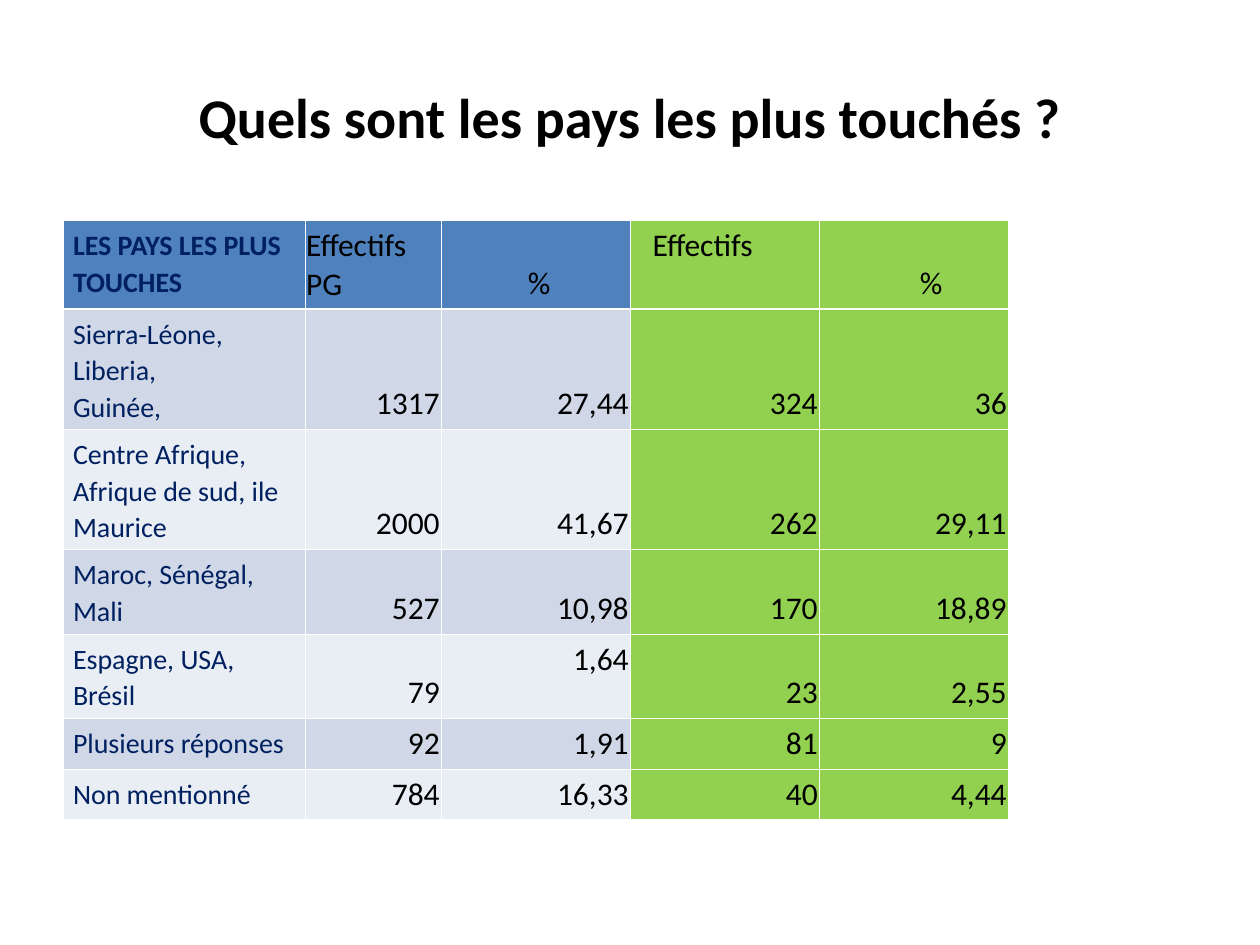
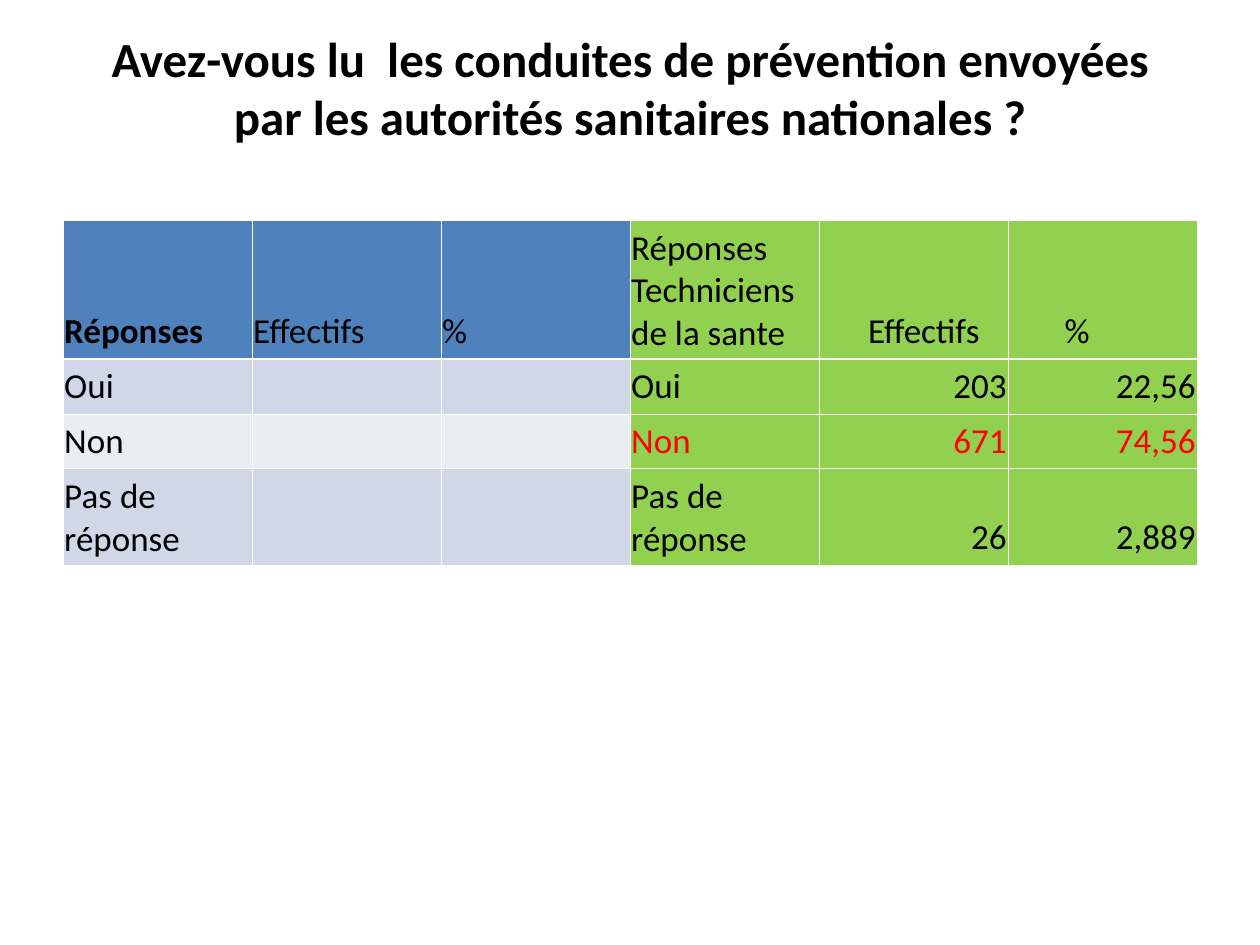
from dataclasses import dataclass

from lxml import etree
from pptx import Presentation
from pptx.dml.color import RGBColor
from pptx.enum.text import MSO_ANCHOR, PP_ALIGN
from pptx.oxml.ns import qn
from pptx.util import Inches, Pt

LEFT, CENTER, RIGHT = PP_ALIGN.LEFT, PP_ALIGN.CENTER, PP_ALIGN.RIGHT
TOP, MIDDLE, BOTTOM = MSO_ANCHOR.TOP, MSO_ANCHOR.MIDDLE, MSO_ANCHOR.BOTTOM
BLANK_LAYOUT = 6


@dataclass(frozen=True)
class Theme:
    font: str = "Calibri"
    text: str = "000000"
    label: str = "002060"
    alert: str = "FF0000"
    border: str = "FFFFFF"
    header: str = "4F81BD"
    bands: tuple = ("D0D8E8", "E9EDF4")
    technicians: str = "92D050"
    title_large: int = 32
    title_small: int = 28
    label_size: int = 16
    value_size: int = 18
    answer_size: int = 20
    thin_line: float = 0.45
    header_line: float = 1.47


THEME = Theme()
SLIDE_WIDTH, SLIDE_HEIGHT = Inches(10), Inches(7.5)
TITLE_BOX = (0.05, 0.04, 0.9, 1 / 6)  # shares of the slide: left, top, width, height

TIGHT_MARGINS = {"margin_left": Inches(0.01), "margin_right": Inches(0.01),
                 "margin_top": Inches(0.05), "margin_bottom": Inches(0.05)}
LABEL_MARGINS = TIGHT_MARGINS | {"margin_left": Inches(0.08), "margin_right": Inches(0.08)}

COUNTRY_ROWS = [
    ["LES PAYS LES PLUS TOUCHES", "Effectifs PG", "%", "Effectifs", "%"],
    ["Sierra-Léone,\nLiberia,\nGuinée,", "1317", "27,44", "324", "36"],
    ["Centre Afrique, Afrique de sud, ile Maurice", "2000", "41,67", "262", "29,11"],
    ["Maroc, Sénégal, Mali", "527", "10,98", "170", "18,89"],
    ["Espagne, USA, Brésil", "79", "1,64", "23", "2,55"],
    ["Plusieurs réponses", "92", "1,91", "81", "9"],
    ["Non mentionné", "784", "16,33", "40", "4,44"],
]
PREVENTION_ROWS = [
    ["Réponses", "Effectifs", "%", "Réponses\nTechniciens de la sante", "Effectifs", "%"],
    ["Oui", "", "", "Oui", "203", "22,56"],
    ["Non", "", "", "Non", "671", "74,56"],
    ["Pas de réponse", "", "", "Pas de réponse", "26", "2,889"],
]


def set_attributes(target, values):
    for name, value in values.items():
        setattr(target, name, value)


def slide_box(left, top, width, height):
    """Turn shares of the slide into lengths."""
    return [round(share * side) for share, side in
            zip((left, top, width, height), (SLIDE_WIDTH, SLIDE_HEIGHT) * 2)]


def style_paragraph(paragraph, size, color, bold=False, align=LEFT, spacing=1.0, indent=0):
    set_attributes(paragraph, {"alignment": align, "line_spacing": spacing})
    if indent:
        paragraph._p.get_or_add_pPr().set("marL", str(Inches(indent)))
    set_attributes(paragraph.font, {"name": THEME.font, "size": Pt(size), "bold": bold})
    paragraph.font.color.rgb = RGBColor.from_string(color)


def add_title(slide, text, size, bottom_margin=0.05):
    frame = slide.shapes.add_textbox(*slide_box(*TITLE_BOX)).text_frame
    set_attributes(frame, {"word_wrap": True, "vertical_anchor": MIDDLE,
                           "margin_bottom": Inches(bottom_margin), "text": text})
    style_paragraph(frame.paragraphs[0], size, THEME.text, bold=True, align=CENTER)


def add_borders(cell, row):
    """Draw thin white edges, with a heavier line under the header row."""
    widths = {"L": THEME.thin_line, "R": THEME.thin_line,
              "T": THEME.header_line if row == 1 else THEME.thin_line,
              "B": THEME.header_line if row == 0 else THEME.thin_line}
    properties = cell._tc.get_or_add_tcPr()
    for position, (side, width) in enumerate(widths.items()):
        line = etree.Element(qn(f"a:ln{side}"), w=str(Pt(width)))
        fill = etree.SubElement(line, qn("a:solidFill"))
        etree.SubElement(fill, qn("a:srgbClr"), val=THEME.border)
        properties.insert(position, line)


def fill_color(row, column, green_from):
    if column >= green_from:
        return THEME.technicians
    return THEME.header if row == 0 else THEME.bands[(row - 1) % 2]


def add_survey_table(slide, box, rows, column_weights, row_weights, green_from, cell_style):
    """Place a two-group table; cell_style(row, column) gives (frame, text) formats."""
    left, top, width, height = slide_box(*box)
    table = slide.shapes.add_table(len(rows), len(rows[0]), left, top, width, height).table
    set_attributes(table, {"first_row": False, "horz_banding": False})
    for column, weight in zip(table.columns, column_weights):
        column.width = round(width * weight / sum(column_weights))
    for row, weight in zip(table.rows, row_weights):
        row.height = round(height * weight / sum(row_weights))

    for row, texts in enumerate(rows):
        for column, text in enumerate(texts):
            cell = table.cell(row, column)
            frame_format, text_format = cell_style(row, column)
            set_attributes(cell, frame_format)
            cell.text_frame.text = text
            for paragraph in cell.text_frame.paragraphs:
                style_paragraph(paragraph, **text_format)
            cell.fill.solid()
            cell.fill.fore_color.rgb = RGBColor.from_string(fill_color(row, column, green_from))
            add_borders(cell, row)


def country_style(row, column):
    if column == 0:
        return (LABEL_MARGINS | {"vertical_anchor": TOP},
                {"size": THEME.label_size, "color": THEME.label, "bold": row == 0,
                 "spacing": 1.07})
    raised = (row, column) in {(0, 3), (4, 2)}
    header_indents = {2: 0.68, 3: 0.17, 4: 0.79}
    return (TIGHT_MARGINS | {"vertical_anchor": TOP if raised else BOTTOM},
            {"size": THEME.value_size, "color": THEME.text,
             "align": RIGHT if row else LEFT,
             "indent": 0 if row else header_indents.get(column, 0)})


def prevention_style(row, column):
    header_indents = {4: 0.38, 5: 0.44}
    return (TIGHT_MARGINS | {"vertical_anchor": BOTTOM},
            {"size": THEME.answer_size, "bold": row == column == 0,
             "color": THEME.alert if row == 2 and column >= 3 else THEME.text,
             "align": RIGHT if row and column >= 4 else LEFT,
             "indent": 0 if row else header_indents.get(column, 0)})


def add_countries_slide(presentation):
    slide = presentation.slides.add_slide(presentation.slide_layouts[BLANK_LAYOUT])
    add_title(slide, "Quels sont les pays les plus touchés ?", THEME.title_large)
    add_survey_table(slide, (0.05, 7 / 30, 0.75, 4.31 / 7.5), COUNTRY_ROWS,
                     column_weights=(1.92, 1.08, 1.5, 1.5, 1.5),
                     row_weights=(0.62, 0.87, 0.87, 0.58, 0.62, 0.37, 0.37),
                     green_from=3, cell_style=country_style)


def add_prevention_slide(presentation):
    slide = presentation.slides.add_slide(presentation.slide_layouts[BLANK_LAYOUT])
    add_title(slide, "Avez-vous lu  les conduites de prévention envoyées par les "
                     "autorités sanitaires nationales ?",
              THEME.title_small, bottom_margin=0.52)
    add_survey_table(slide, (0.05, 7 / 30, 0.9, 1 / 3), PREVENTION_ROWS,
                     column_weights=(1,) * 6, row_weights=(1.03, 0.39, 0.39, 0.69),
                     green_from=3, cell_style=prevention_style)


def main():
    presentation = Presentation()
    set_attributes(presentation, {"slide_width": SLIDE_WIDTH, "slide_height": SLIDE_HEIGHT})
    add_countries_slide(presentation)
    add_prevention_slide(presentation)
    presentation.save("out.pptx")


if __name__ == "__main__":
    main()
